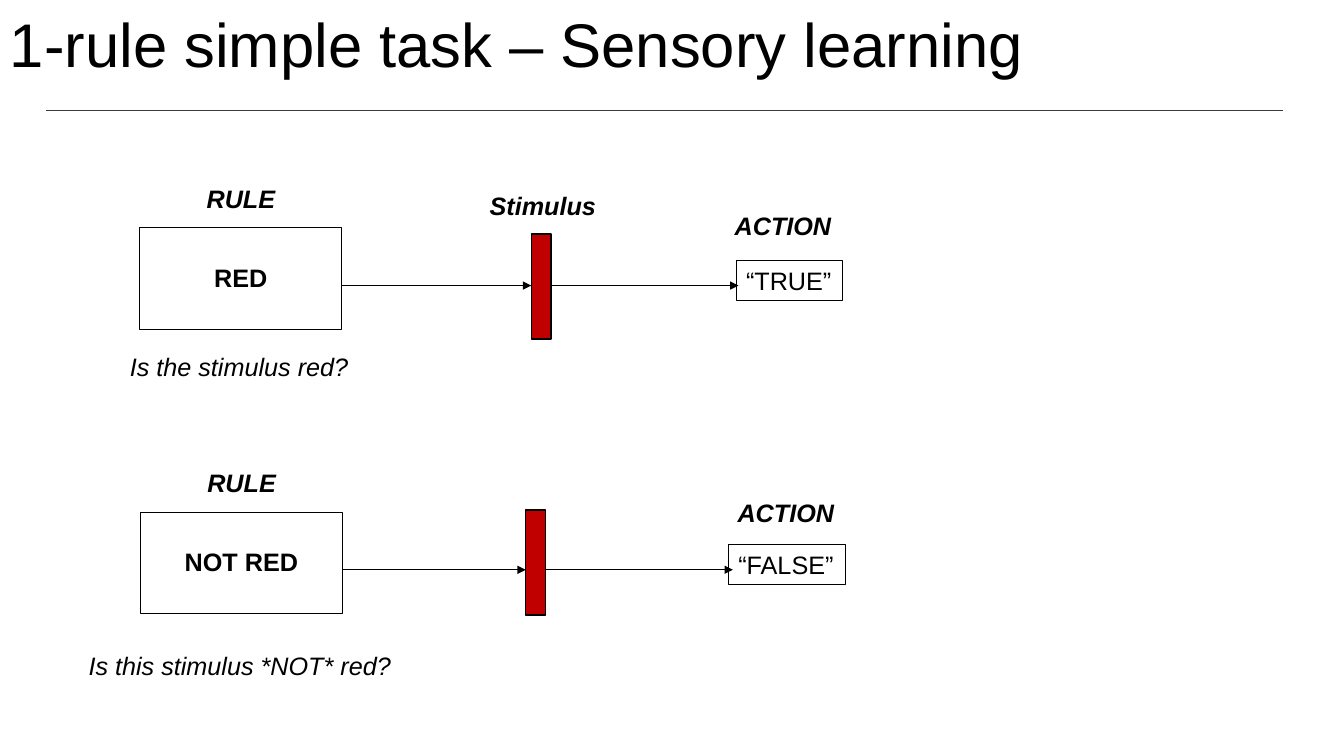
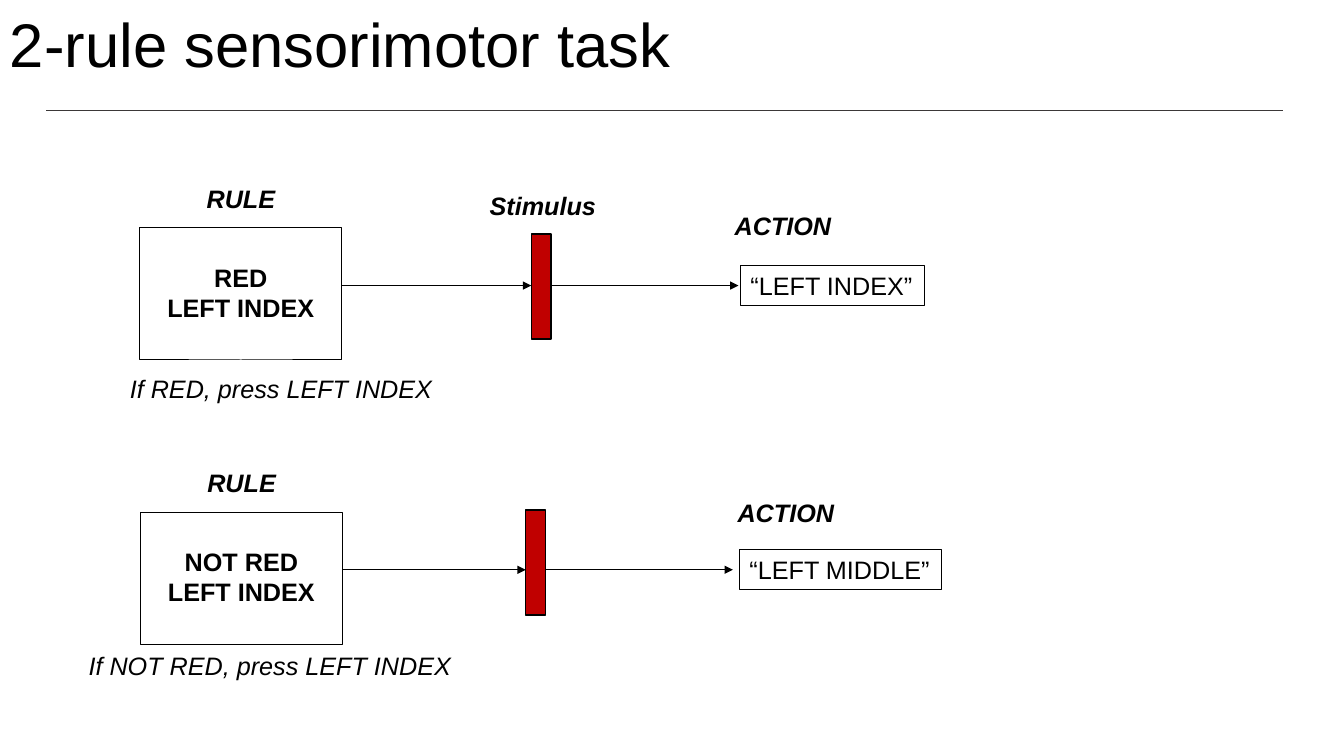
from dataclasses import dataclass

from lxml.etree import SubElement
from pptx import Presentation
from pptx.dml.color import RGBColor
from pptx.enum.shapes import MSO_CONNECTOR as Connector, MSO_SHAPE as Preset
from pptx.enum.text import MSO_ANCHOR as Anchor, PP_ALIGN as Align
from pptx.oxml.ns import qn
from pptx.util import Pt

FONT = "Arial"
BLACK, RULE_GREY, STIMULUS_RED = "000000", "3B3838", "C00000"
SLIDE_W, SLIDE_H = 960, 540
TITLE_H, BODY_SIZE, TITLE_SIZE = 68.4, 18, 44
LABEL_H = 29
RULE_W, RULE_TEXT_TOP, LINE_H = 144, 24.3, 21.6
STIMULUS_W, STIMULUS_H = 14, 75
ARROW_DROP, ACTION_ARROW = 41.2, 134


@dataclass
class Row:
    """Where one rule-to-action row stands on the page."""
    left: float
    top: float
    stimulus: tuple
    action_label: tuple
    caption_left: float


@dataclass
class Trial:
    """Wording and fitted box sizes of one row."""
    rule: str
    caption: str
    caption_top: float
    caption_width: float
    action: str
    action_left: float
    action_width: float
    stimulus_label: str = ""


ROWS = [
    Row(100, 162.8, (379.5, 167.3), (517.7, 146.8), 85.7),
    Row(100.5, 365.8, (375.5, 364.4), (519.8, 352), 56.2),
]

SLIDES = [
    ("1-rule simple task – Sensory learning", 23, [
        Trial("RED", "Is the stimulus red?", 247.7, 172,
              "“TRUE”", 525.8, 76, "Stimulus"),
        Trial("NOT RED", "Is this stimulus *NOT* red?", 460.8, 232.5,
              "“FALSE”", 520.3, 83.7),
    ]),
    ("2-rule sensorimotor task", 26.5, [
        Trial("RED\nLEFT INDEX", "If RED, press LEFT INDEX", 262.8, 232.5,
              "“LEFT INDEX”", 529, 131.3, "Stimulus"),
        Trial("NOT RED\nLEFT INDEX", "If NOT RED, press LEFT INDEX", 460.8, 275.8,
              "“LEFT MIDDLE”", 528.3, 144.5),
    ]),
]


def colour(value):
    """Turn a hex string into a colour."""
    return RGBColor.from_string(value)


def write(shape, text, size=BODY_SIZE, bold=False, italic=False, align=Align.LEFT):
    """Put styled text in a shape."""
    shape.text_frame.text = text
    for para in shape.text_frame.paragraphs:
        para.alignment = align
        for span in para.runs:
            span.font.name, span.font.size = FONT, Pt(size)
            span.font.bold, span.font.italic = bold, italic
            span.font.color.rgb = colour(BLACK)


def add_label(page, left, top, width, text, **style):
    """Add a single line of text."""
    box = page.shapes.add_textbox(Pt(left), Pt(top), Pt(width), Pt(LABEL_H))
    box.text_frame.word_wrap = False
    write(box, text, italic=True, **style)


def add_box(page, left, top, width, height, fill=None, weight=0.75):
    """Add an outlined rectangle with top-anchored text."""
    box = page.shapes.add_shape(Preset.RECTANGLE, Pt(left), Pt(top), Pt(width), Pt(height))
    box.shadow.inherit = False
    if fill:
        box.fill.solid()
        box.fill.fore_color.rgb = colour(fill)
    else:
        box.fill.background()
    box.line.color.rgb = colour(BLACK)
    box.line.width = Pt(weight)
    box.text_frame.vertical_anchor = Anchor.TOP
    return box


def add_line(page, left, right, top, ink=BLACK, arrow=False):
    """Add a thin level line, with an arrowhead on request."""
    line = page.shapes.add_connector(Connector.STRAIGHT, Pt(left), Pt(top), Pt(right), Pt(top))
    line.line.color.rgb = colour(ink)
    line.line.width = Pt(0.5)
    if arrow:
        SubElement(line.line._get_or_add_ln(), qn("a:tailEnd"), type="triangle")
    SubElement(line._element.spPr, qn("a:effectLst"))


def add_heading(page, title):
    """Add the title band and the line below it."""
    add_line(page, 33, 916.5, 78.8, RULE_GREY)
    box = page.shapes.add_textbox(Pt(0), Pt(0), Pt(SLIDE_W), Pt(TITLE_H))
    box.text_frame.word_wrap = True
    box.text_frame.vertical_anchor = Anchor.MIDDLE
    write(box, title, TITLE_SIZE)
    box.text_frame.paragraphs[0].line_spacing = 0.9


def add_row(page, row, trial, action_drop):
    """Draw one row: rule, stimulus and action joined by arrows."""
    rule_height = 51.2 + LINE_H * len(trial.rule.split("\n"))
    rule = add_box(page, row.left, row.top, RULE_W, rule_height)
    rule.text_frame.word_wrap = True
    rule.text_frame.margin_top = Pt(RULE_TEXT_TOP)
    write(rule, trial.rule, bold=True, align=Align.CENTER)
    add_label(page, row.left + 40.5, row.top - 35.3, 64, "RULE", bold=True)
    add_label(page, row.caption_left, trial.caption_top, trial.caption_width, trial.caption)

    stimulus_left, stimulus_top = row.stimulus
    stimulus_right = stimulus_left + STIMULUS_W
    add_box(page, stimulus_left, stimulus_top, STIMULUS_W, STIMULUS_H, STIMULUS_RED, 1)
    if trial.stimulus_label:
        add_label(page, stimulus_left - 36.8, stimulus_top - 34.8, 91.5,
                  trial.stimulus_label, bold=True)

    action = add_box(page, trial.action_left, row.top + action_drop,
                     trial.action_width, LABEL_H)
    action.text_frame.word_wrap = False
    write(action, trial.action)
    add_label(page, *row.action_label, 84.2, "ACTION", bold=True)

    arrow_top = row.top + ARROW_DROP
    add_line(page, row.left + RULE_W, stimulus_left, arrow_top, arrow=True)
    add_line(page, stimulus_right, stimulus_right + ACTION_ARROW, arrow_top, arrow=True)


def main():
    """Build and save the deck."""
    deck = Presentation()
    deck.slide_width, deck.slide_height = Pt(SLIDE_W), Pt(SLIDE_H)
    for title, action_drop, trials in SLIDES:
        page = deck.slides.add_slide(deck.slide_layouts[6])
        add_heading(page, title)
        for row, trial in zip(ROWS, trials):
            add_row(page, row, trial, action_drop)
    deck.save("out.pptx")


if __name__ == "__main__":
    main()
